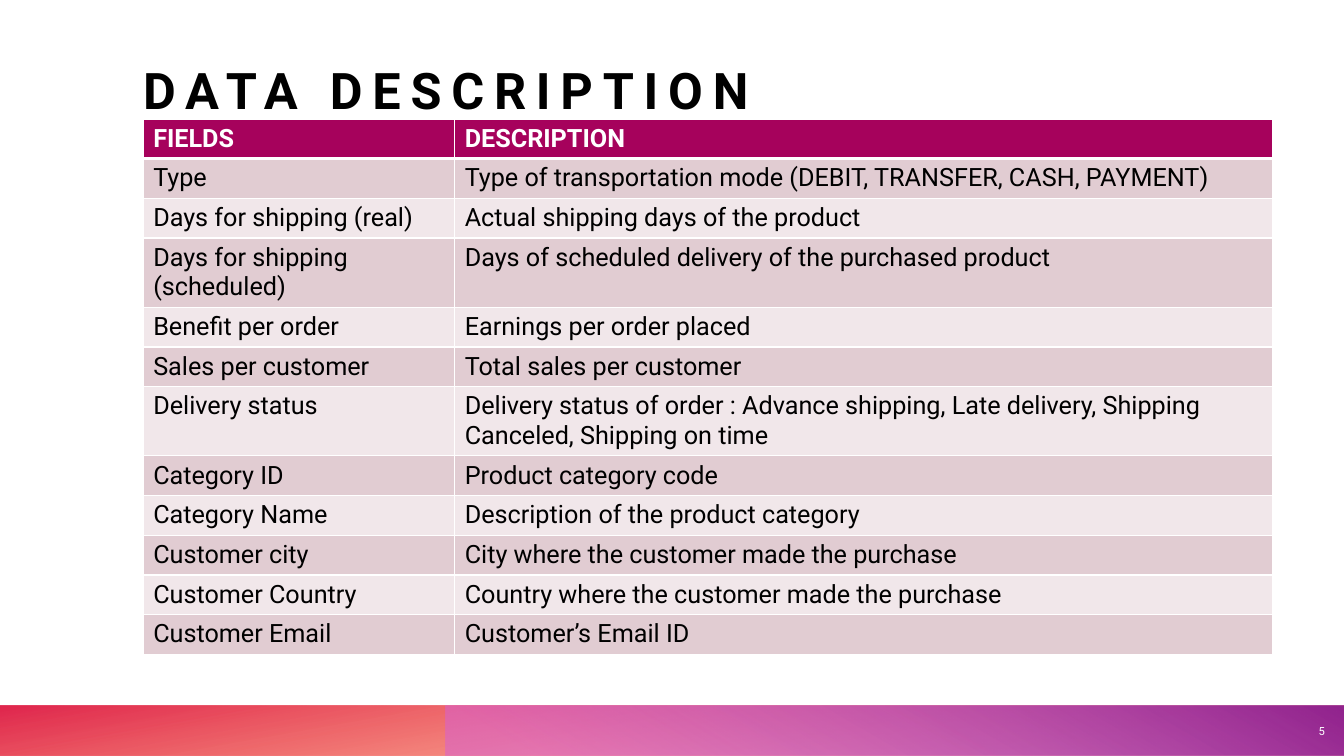
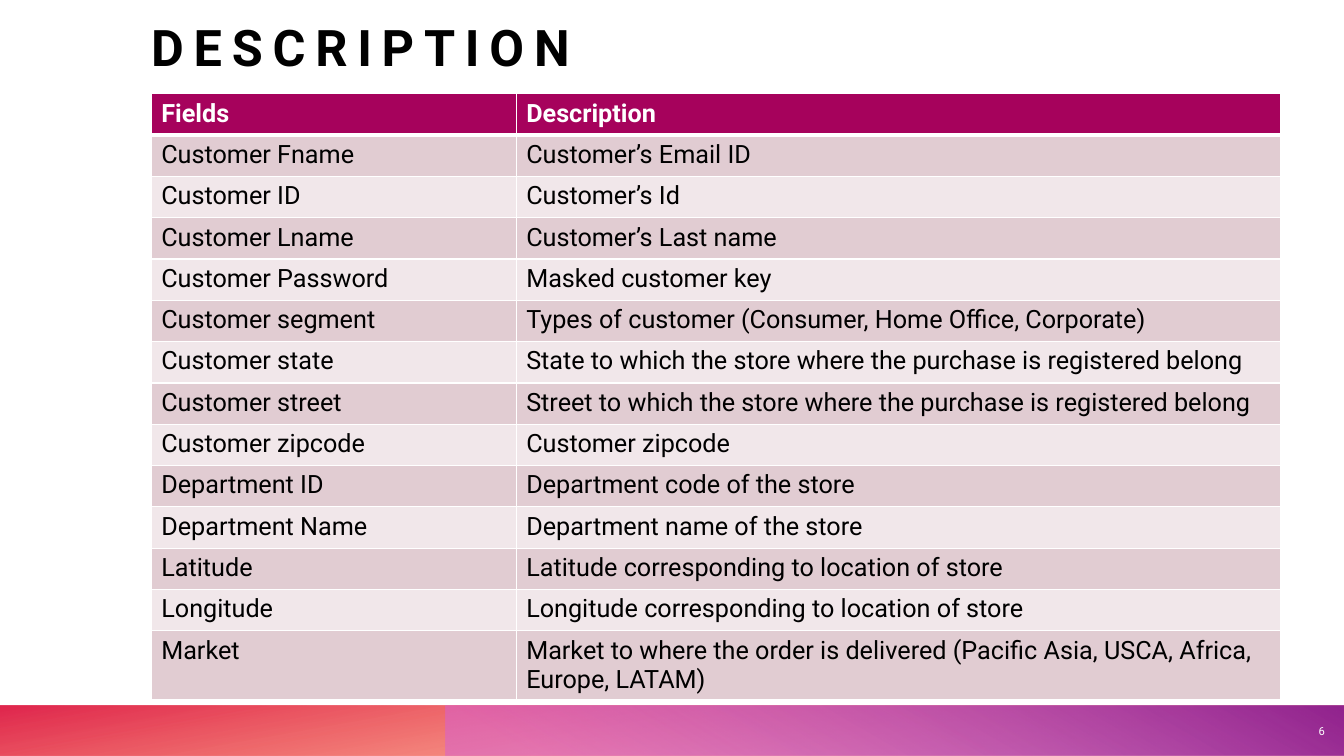
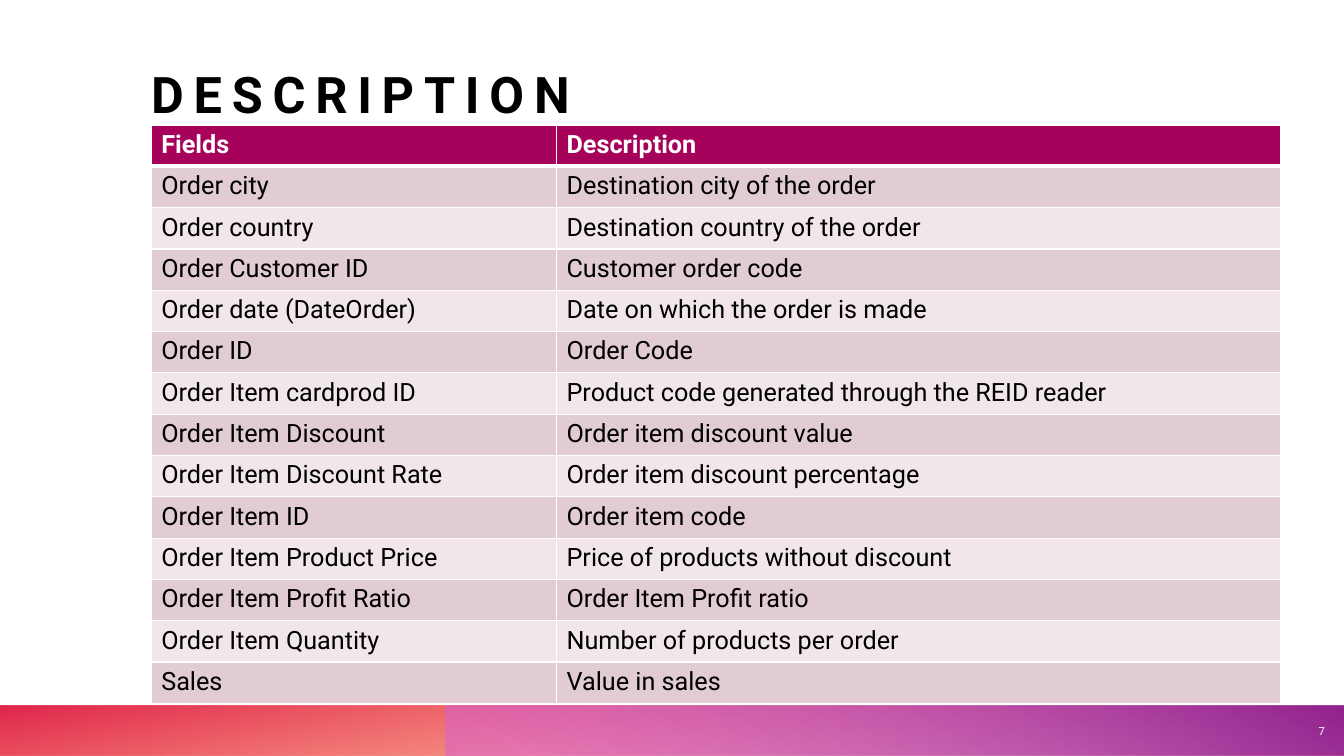
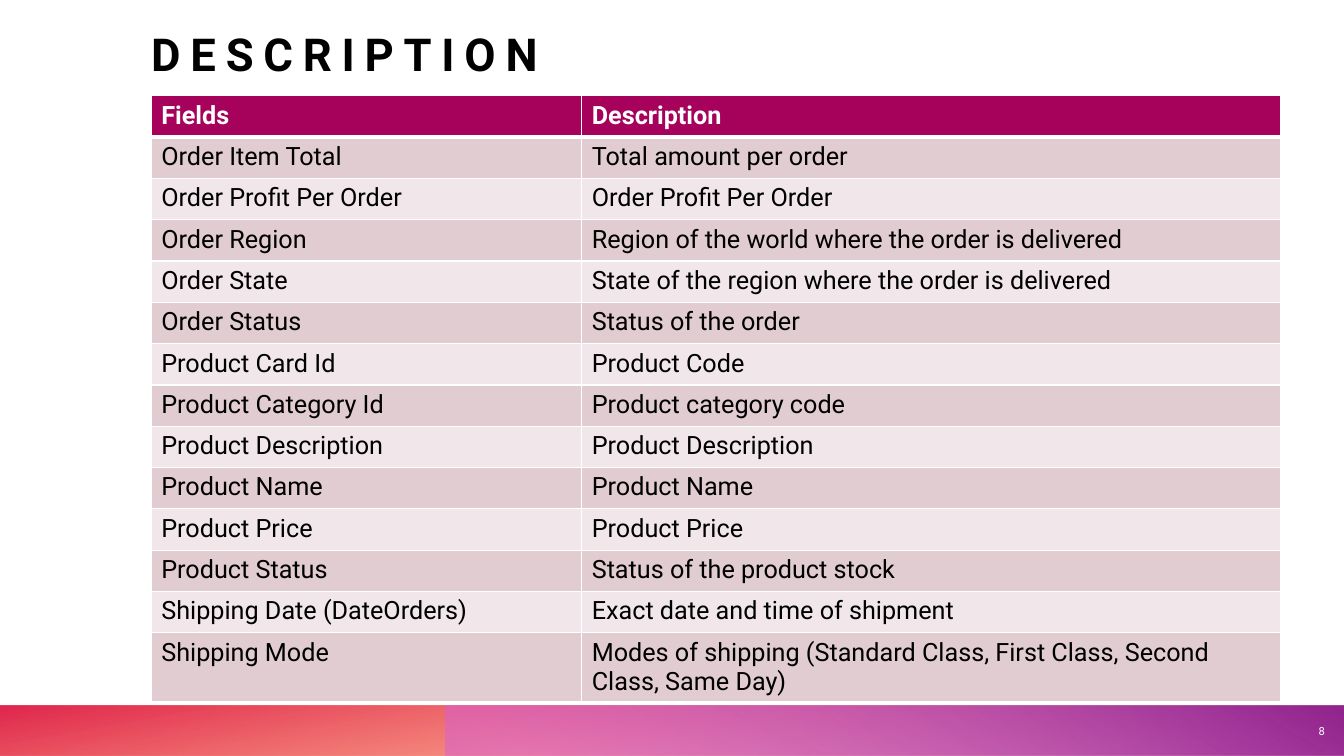
import lxml.etree
import pptx
import pptx.dml.color
import pptx.enum.shapes
import pptx.enum.text
import pptx.oxml.ns
import pptx.util

Inches = pptx.util.Inches
Pt = pptx.util.Pt
qn = pptx.oxml.ns.qn
ALIGN = pptx.enum.text.PP_ALIGN
ANCHOR = pptx.enum.text.MSO_ANCHOR

# Shared look
HUES = {
    "black": "000000", "white": "FFFFFF", "head": "A6025C",
    "dark": "E1CCD2", "light": "F1E7EA",
    "orange": "FE4A00", "red": "DA002F",
    "pink": "D861D4", "purple": "92248E",
}
TITLE = {"name": "Roboto", "size": Pt(36), "bold": True}
HEAD = {"name": "Roboto", "size": Pt(18), "bold": True}
BODY = {"name": "Roboto", "size": Pt(18), "bold": False}
PAGE = {"name": "Roboto", "size": Pt(8)}
WIDE = 13.33
SPAN = 11.2

# Each band: left, width, turn, gradient angle, stops (place, hue, opacity)
BANDS = [
    (0, WIDE, 180, 100, [(0.14, "orange", 28), (1, "red", 85)]),
    (4.42, 8.92, 0, 240, [(0.09, "pink", 55), (0.99, "purple", 100)]),
]

# Each slide: page, title, title size, left, title top and height,
# table top, first column width, row height, rows
PAGES = [
    (5, "DATA DESCRIPTION", 36, 1.42, 0.3, 0.89, 1.18, 3.09, 0.33, [
        ("FIELDS", "DESCRIPTION"),
        ("Type", "Type of transportation mode (DEBIT, TRANSFER, CASH, PAYMENT)"),
        ("Days for shipping (real)", "Actual shipping days of the product"),
        ("Days for shipping (scheduled)",
         "Days of scheduled delivery of the purchased product"),
        ("Benefit per order", "Earnings per order placed"),
        ("Sales per customer", "Total sales per customer"),
        ("Delivery status", "Delivery status of order : Advance shipping, "
         "Late delivery, Shipping Canceled, Shipping on time"),
        ("Category ID", "Product category code"),
        ("Category Name", "Description of the product category"),
        ("Customer city", "City where the customer made the purchase"),
        ("Customer Country", "Country where the customer made the purchase"),
        ("Customer Email", "Customer’s Email ID"),
    ]),
    (6, "DESCRIPTION", 36, 1.5, 0, 0.76, 0.93, 3.62, 0.41, [
        ("Fields", "Description"),
        ("Customer Fname", "Customer’s Email ID"),
        ("Customer ID", "Customer’s Id"),
        ("Customer Lname", "Customer’s Last name"),
        ("Customer Password", "Masked customer key"),
        ("Customer segment",
         "Types of customer (Consumer, Home Office, Corporate)"),
        ("Customer state",
         "State to which the store where the purchase is registered belong"),
        ("Customer street",
         "Street to which the store where the purchase is registered belong"),
        ("Customer zipcode", "Customer zipcode"),
        ("Department ID", "Department code of the store"),
        ("Department Name", "Department name of the store"),
        ("Latitude", "Latitude corresponding to location of store"),
        ("Longitude", "Longitude corresponding to location of store"),
        ("Market", "Market to where the order is delivered "
         "(Pacific Asia, USCA, Africa, Europe, LATAM)"),
    ]),
    (7, "DESCRIPTION", 36, 1.5, 0.48, 0.75, 1.24, 4.02, 0.41, [
        ("Fields", "Description"),
        ("Order city", "Destination city of the order"),
        ("Order country", "Destination country of the order"),
        ("Order Customer ID", "Customer order code"),
        ("Order date (DateOrder)", "Date on which the order is made"),
        ("Order ID", "Order Code"),
        ("Order Item cardprod ID",
         "Product code generated through the REID reader"),
        ("Order Item Discount", "Order item discount value"),
        ("Order Item Discount Rate", "Order item discount percentage"),
        ("Order Item ID", "Order item code"),
        ("Order Item Product Price", "Price of products without discount"),
        ("Order Item Profit Ratio", "Order Item Profit ratio"),
        ("Order Item Quantity", "Number of products per order"),
        ("Sales", "Value in sales"),
    ]),
    (8, "DESCRIPTION", 32.4, 1.5, 0.21, 0.59, 0.95, 4.27, 0.41, [
        ("Fields", "Description"),
        ("Order Item Total", "Total amount per order"),
        ("Order Profit Per Order", "Order Profit Per Order"),
        ("Order Region", "Region of the world where the order is delivered"),
        ("Order State", "State of the region where the order is delivered"),
        ("Order Status", "Status of the order"),
        ("Product Card Id", "Product Code"),
        ("Product Category Id", "Product category code"),
        ("Product Description", "Product Description"),
        ("Product Name", "Product Name"),
        ("Product Price", "Product Price"),
        ("Product Status", "Status of the product stock"),
        ("Shipping Date (DateOrders)", "Exact date and time of shipment"),
        ("Shipping Mode", "Modes of shipping "
         "(Standard Class, First Class, Second Class, Same Day)"),
    ]),
]


def paint(hue):
    return pptx.dml.color.RGBColor.from_string(HUES[hue])


def apply(thing, form):
    for key, value in form.items():
        setattr(thing, key, value)


def write(frame, text, form, hue, align=ALIGN.LEFT):
    para = frame.paragraphs[0]
    para.alignment = align
    run = para.add_run()
    run.text = text
    apply(run.font, form)
    run.font.color.rgb = paint(hue)


def add_band(slide, left, width, turn, angle, stops):
    band = slide.shapes.add_shape(
        pptx.enum.shapes.MSO_SHAPE.RECTANGLE,
        Inches(left), Inches(7), Inches(width), Inches(0.5))
    band.shadow.inherit = False
    band.line.fill.background()
    band.rotation = turn
    next(band.element.iter(qn("a:xfrm"))).set("flipH", "1")
    band.fill.gradient()
    band.fill.gradient_angle = 360 - angle
    for stop, (place, hue, _) in zip(band.fill.gradient_stops, stops):
        stop.position = place
        stop.color.rgb = paint(hue)
    # Opacity of each stop
    for node, (_, _, alpha) in zip(band.element.iter(qn("a:srgbClr")), stops):
        lxml.etree.SubElement(node, qn("a:alpha"), val=str(alpha * 1000))
    return band


def share_bands(slide):
    # Bands move to the layout, behind its placeholders
    tree = slide.slide_layout.shapes.element
    for spot, band in enumerate(BANDS, 2):
        tree.insert(spot, add_band(slide, *band).element)


def add_title(slide, text, size, left, top, height):
    title = slide.shapes.title
    apply(title, {"left": Inches(left), "top": Inches(top),
                  "width": Inches(SPAN), "height": Inches(height)})
    frame = title.text_frame
    apply(frame, {"margin_left": 0, "margin_right": 0, "margin_top": 0,
                  "margin_bottom": 0, "word_wrap": True,
                  "auto_size": pptx.enum.text.MSO_AUTO_SIZE.NONE,
                  "vertical_anchor": ANCHOR.BOTTOM})
    write(frame, text, {**TITLE, "size": Pt(size)}, "black")
    next(title.element.iter(qn("a:rPr"))).set("spc", "700")


def edge_cell(cell, top, base):
    props = next(cell._tc.iter(qn("a:tcPr")))
    sides = {"a:lnL": 1, "a:lnR": 1, "a:lnT": top, "a:lnB": base}
    for spot, (side, width) in enumerate(sides.items()):
        line = lxml.etree.Element(qn(side), w=str(Pt(width)))
        fill = lxml.etree.SubElement(line, qn("a:solidFill"))
        lxml.etree.SubElement(fill, qn("a:srgbClr"), val=HUES["white"])
        props.insert(spot, line)


def add_grid(slide, left, top, first, height, rows):
    grid = slide.shapes.add_table(
        len(rows), 2, Inches(left), Inches(top),
        Inches(SPAN), Inches(height * len(rows))).table
    for col, width in zip(grid.columns, (first, SPAN - first)):
        col.width = Inches(width)
    for i, row in enumerate(rows):
        grid.rows[i].height = Inches(height)
        form, hue = (BODY, "black") if i else (HEAD, "white")
        back = ("dark" if i % 2 else "light") if i else "head"
        for j, text in enumerate(row):
            cell = grid.cell(i, j)
            cell.fill.solid()
            cell.fill.fore_color.rgb = paint(back)
            write(cell.text_frame, text, form, hue)
            edge_cell(cell, 3 if i == 1 else 1, 1 if i else 3)


def add_page(slide, page):
    box = slide.shapes.add_textbox(
        Inches(12.76), Inches(7.01), Inches(0.48), Inches(0.49))
    frame = box.text_frame
    apply(frame, {"word_wrap": True, "vertical_anchor": ANCHOR.MIDDLE})
    write(frame, str(page), PAGE, "white", ALIGN.RIGHT)


def main():
    deck = pptx.Presentation()
    apply(deck, {"slide_width": Inches(WIDE), "slide_height": Inches(7.5)})
    for page, text, size, left, top, tall, start, first, height, rows in PAGES:
        slide = deck.slides.add_slide(deck.slide_layouts[5])
        add_title(slide, text, size, left, top, tall)
        add_grid(slide, left, start, first, height, rows)
        add_page(slide, page)
    share_bands(deck.slides[0])
    deck.save("out.pptx")


if __name__ == "__main__":
    main()
